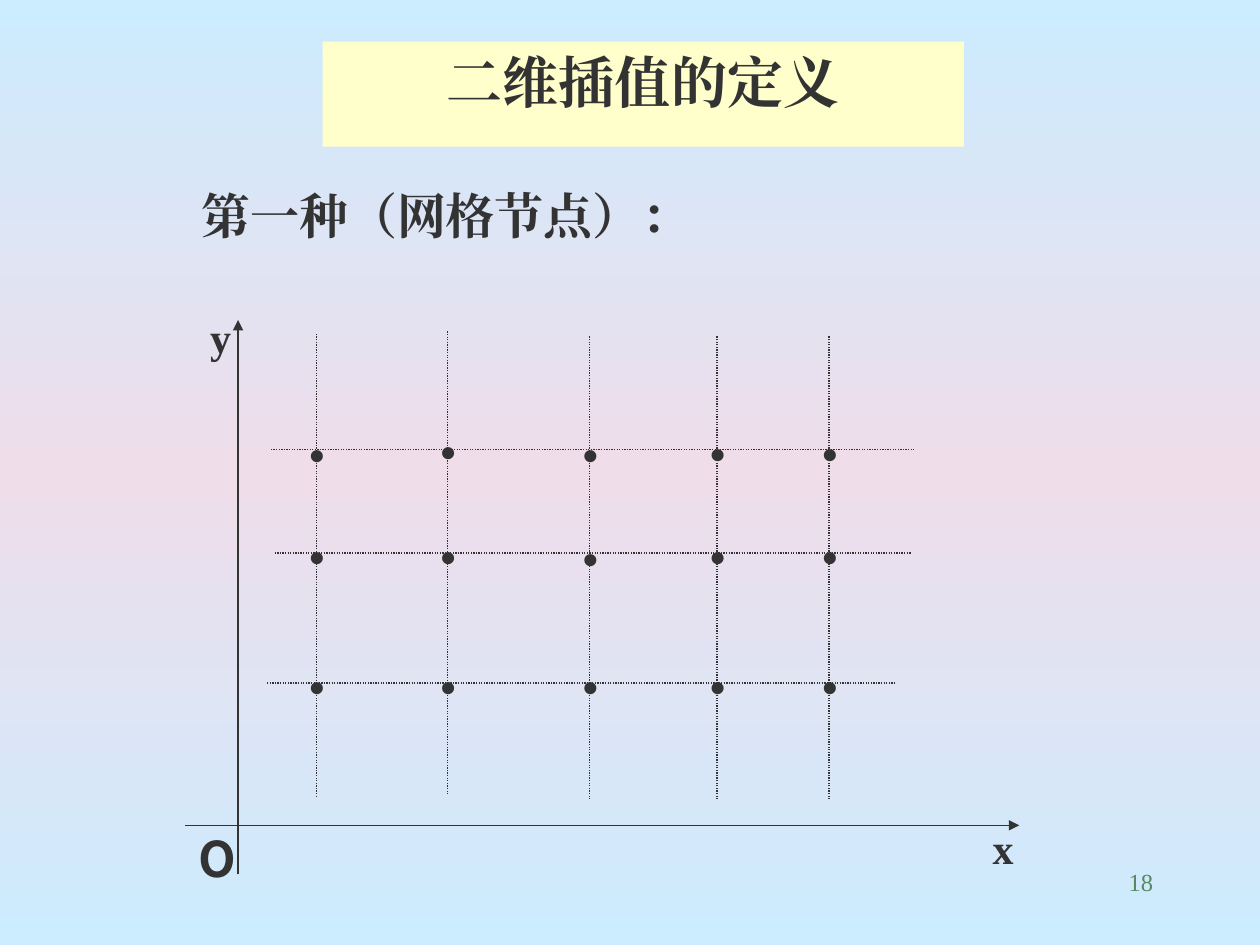
from copy import deepcopy
from lxml.etree import SubElement
from pptx import Presentation
from pptx.dml.color import RGBColor
from pptx.enum.dml import MSO_LINE
from pptx.enum.shapes import MSO_CONNECTOR
from pptx.enum.text import MSO_ANCHOR, MSO_AUTO_SIZE, PP_ALIGN
from pptx.oxml.ns import qn
from pptx.util import Inches, Pt


def color(value):
    return RGBColor.from_string(value)


class SlideBuilder:
    ink = "333333"
    serif = "Times New Roman"

    def __init__(self, deck):
        self.slide = deck.slides.add_slide(deck.slide_layouts[5])

    def background(self, edge, middle):
        fill = self.slide.background.fill
        fill.gradient()
        fill.gradient_angle = 270
        stops = fill.gradient_stops
        for stop, position in zip(stops, (0, 1)):
            stop.color.rgb = color(edge)
            stop.position = position
        first = self.slide.background._cSld.find(".//" + qn("a:gs"))
        first.addnext(deepcopy(first))
        center = fill.gradient_stops[1]
        center.color.rgb = color(middle)
        center.position = 0.5

    def format_text(self, shape, text, size, font, ink, align, wrap=True, grow=True):
        frame = shape.text_frame
        frame.text = text
        frame.word_wrap = wrap
        frame.auto_size = MSO_AUTO_SIZE.SHAPE_TO_FIT_TEXT if grow else MSO_AUTO_SIZE.NONE
        frame.vertical_anchor = MSO_ANCHOR.TOP
        para = frame.paragraphs[0]
        para.alignment = align
        span = para.runs[0]
        span.font.size = Pt(size)
        span.font.name = font
        span.font.bold = ink == self.ink
        span.font.color.rgb = color(ink)
        SubElement(span.font._element, qn("a:ea")).set("typeface", font)

    def title(self, text, left, top, width, height, fill):
        title = self.slide.shapes.title
        title.left, title.top = Inches(left), Inches(top)
        title.width, title.height = Inches(width), Inches(height)
        title.fill.solid()
        title.fill.fore_color.rgb = color(fill)
        self.format_text(title, text, 32, self.serif, self.ink, PP_ALIGN.CENTER)

    def text(self, text, left, top, width, height, size=24, font=serif, ink=ink,
             align=PP_ALIGN.LEFT, wrap=True, grow=True):
        box = self.slide.shapes.add_textbox(
            Inches(left), Inches(top), Inches(width), Inches(height))
        self.format_text(box, text, size, font, ink, align, wrap, grow)

    def line(self, x1, y1, x2, y2):
        line = self.slide.shapes.add_connector(
            MSO_CONNECTOR.STRAIGHT, Inches(x1), Inches(y1), Inches(x2), Inches(y2))
        line.line.color.rgb = color(self.ink)
        line.line.width = Pt(0.75)
        SubElement(line._element.spPr, qn("a:effectLst"))
        return line

    def axis(self, x1, y1, x2, y2):
        outline = self.line(x1, y1, x2, y2).line._get_or_add_ln()
        SubElement(outline, qn("a:tailEnd")).set("type", "triangle")

    def grid_line(self, x1, y1, x2, y2):
        self.line(x1, y1, x2, y2).line.dash_style = MSO_LINE.ROUND_DOT

    def node(self, x, top):
        self.text("•", x - 0.15, top, 0.61, 0.5, font="Arial")


def main():
    deck = Presentation()
    deck.slide_width, deck.slide_height = Inches(10), Inches(7.5)
    page = SlideBuilder(deck)
    page.background("CCECFF", "EFDDEA")
    page.title("二维插值的定义", 2.56, 0.33, 5.09, 0.64, "FFFFCC")

    page.axis(1.47, 6.55, 8.09, 6.55)
    page.axis(1.89, 6.94, 1.89, 2.54)

    for left, right, y in ((2.15, 7.25, 3.57), (2.18, 7.23, 4.39), (2.12, 7.11, 5.42)):
        page.grid_line(left, y, right, y)

    columns = (
        (2.51, 2.65, (3.35, 4.16, 5.19)),
        (3.55, 2.63, (3.33, 4.16, 5.19)),
        (4.68, 2.67, (3.35, 4.18, 5.19)),
        (5.69, 2.67, (3.34, 4.16, 5.19)),
        (6.58, 2.67, (3.34, 4.16, 5.19)),
    )
    for x, top, node_tops in columns:
        page.grid_line(x, top, x, top + 3.67)
        for node_top in node_tops:
            page.node(x, node_top)

    page.text("x", 7.78, 6.48, 0.8, 0.5)
    page.text("y", 1.57, 2.42, 0.62, 0.5)
    page.text("O", 1.48, 6.53, 0.43, 0.57, size=28, font="Noto Sans CJK SC", wrap=False)
    page.text("第一种（网格节点）：", 1.5, 1.42, 4, 0.57, size=28)
    page.text("18", 7.17, 6.83, 2.08, 0.5, size=14, ink="578963",
              align=PP_ALIGN.RIGHT, grow=False)
    deck.save("out.pptx")


if __name__ == "__main__":
    main()
